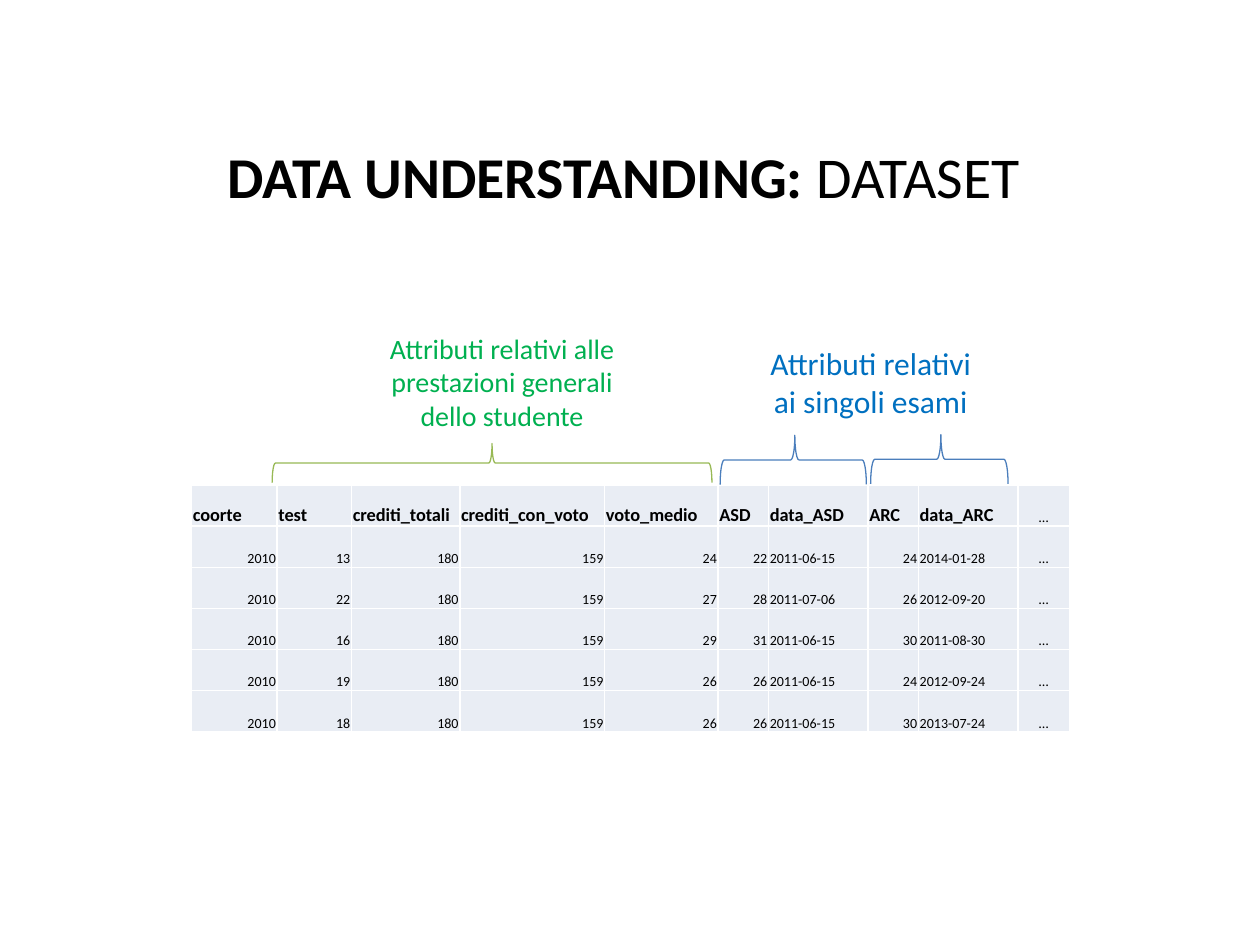
from lxml import etree
from pptx import Presentation
from pptx.dml.color import RGBColor
from pptx.enum.shapes import MSO_SHAPE
from pptx.enum.text import MSO_ANCHOR, PP_ALIGN
from pptx.oxml.ns import qn
from pptx.util import Inches, Pt

LEFT, CENTER, RIGHT = PP_ALIGN.LEFT, PP_ALIGN.CENTER, PP_ALIGN.RIGHT
BOTTOM, MIDDLE = MSO_ANCHOR.BOTTOM, MSO_ANCHOR.MIDDLE
LEFT_BRACE = MSO_SHAPE.LEFT_BRACE
FONT = "Calibri"
BLACK, WHITE, CELL_FILL = "000000", "FFFFFF", "E9EDF4"
GREEN_LINE, BLUE_LINE = "98B955", "4B7EBC"

# Content
TITLE = [("DATA UNDERSTANDING: ", True), ("DATASET ", False)]
HEADER = ["coorte", "test", "crediti_totali", "crediti_con_voto", "voto_medio",
          "ASD", "data_ASD", "ARC", "data_ARC", "…"]
COHORT, TOTAL_CREDITS, GRADED_CREDITS = "2010", "180", "159"
# test, voto_medio, ASD, data_ASD, ARC, data_ARC
STUDENTS = [
    ("13", "24", "22", "2011-06-15", "24", "2014-01-28"),
    ("22", "27", "28", "2011-07-06", "26", "2012-09-20"),
    ("16", "29", "31", "2011-06-15", "30", "2011-08-30"),
    ("19", "26", "26", "2011-06-15", "24", "2012-09-24"),
    ("18", "26", "26", "2011-06-15", "30", "2013-07-24"),
]
COLUMN_WIDTHS = [0.68, 0.59, 0.86, 1.15, 0.9, 0.4, 0.79, 0.4, 0.79, 0.41]
TABLE_LEFT, TABLE_TOP, TABLE_HEIGHT = 1.52, 3.85, 1.96
# text, left, top, width, height, size, colour
CAPTIONS = [
    ("Attributi relativi alle prestazioni generali dello studente",
     2.97, 2.58, 2.03, 0.91, 16, "00B050"),
    ("Attributi relativi ai singoli esami",
     5.92, 2.68, 1.98, 0.71, 18, "0070C0"),
]
# left, top, width, height before the quarter turn, point position, colour
BRACES = [
    (3.75, 1.93, 0.31, 3.49, 0.5, GREEN_LINE),
    (6.1, 3.07, 0.39, 1.16, 0.489, BLUE_LINE),
    (7.26, 3.1, 0.39, 1.09, 0.489, BLUE_LINE),
]


def rgb(value):
    return RGBColor.from_string(value)


def format_run(run, size, color=BLACK, bold=False):
    run.font.name = FONT
    run.font.size = Pt(size)
    run.font.bold = bold
    run.font.color.rgb = rgb(color)


def add_cell_borders(cell, color):
    properties = cell._tc.get_or_add_tcPr()
    for position, side in enumerate(("a:lnL", "a:lnR", "a:lnT", "a:lnB")):
        border = etree.Element(qn(side), w=str(Pt(1)))
        fill = etree.SubElement(border, qn("a:solidFill"))
        etree.SubElement(fill, qn("a:srgbClr"), val=color)
        properties.insert(position, border)


def cell_alignment(row, column):
    if HEADER[column] == "…":
        return CENTER
    if row == 0 or HEADER[column].startswith("data_"):
        return LEFT
    return RIGHT


prs = Presentation()
prs.slide_width, prs.slide_height = Inches(10), Inches(7.5)
slide = prs.slides.add_slide(prs.slide_layouts[5])

# Title
title = slide.shapes.title
title.left, title.top = Inches(0.5), Inches(0.92)
title.width, title.height = Inches(9), Inches(0.94)
title.text_frame.vertical_anchor = MIDDLE
heading = title.text_frame.paragraphs[0]
heading.alignment = CENTER
for words, bold in TITLE:
    run = heading.add_run()
    run.text = words
    format_run(run, 33, bold=bold)

# Dataset table
rows = [HEADER] + [
    [COHORT, test, TOTAL_CREDITS, GRADED_CREDITS, *results, "…"]
    for test, *results in STUDENTS
]
dataset = slide.shapes.add_table(
    len(rows), len(HEADER), Inches(TABLE_LEFT), Inches(TABLE_TOP),
    Inches(sum(COLUMN_WIDTHS)), Inches(TABLE_HEIGHT)).table
dataset.first_row = dataset.horz_banding = False
for column, width in zip(dataset.columns, COLUMN_WIDTHS):
    column.width = Inches(width)
for r, values in enumerate(rows):
    for c, value in enumerate(values):
        cell = dataset.cell(r, c)
        cell.margin_left = cell.margin_right = cell.margin_top = Inches(0.01)
        cell.margin_bottom = 0
        cell.vertical_anchor = BOTTOM
        cell.fill.solid()
        cell.fill.fore_color.rgb = rgb(CELL_FILL)
        add_cell_borders(cell, WHITE)
        cell.text_frame.text = value
        paragraph = cell.text_frame.paragraphs[0]
        paragraph.alignment = cell_alignment(r, c)
        is_heading = r == 0 and value != "…"
        format_run(paragraph.runs[0], 10.5 if is_heading else 8, bold=is_heading)

# Captions above the column groups
for words, left, top, width, height, size, color in CAPTIONS:
    caption = slide.shapes.add_textbox(
        Inches(left), Inches(top), Inches(width), Inches(height)).text_frame
    caption.word_wrap = True
    caption.text = words
    caption.paragraphs[0].alignment = CENTER
    format_run(caption.paragraphs[0].runs[0], size, color)

# Braces over the column groups
for left, top, width, height, point, color in BRACES:
    brace = slide.shapes.add_shape(
        LEFT_BRACE, Inches(left), Inches(top), Inches(width), Inches(height))
    brace.rotation = 90
    brace.adjustments[1] = point
    brace.shadow.inherit = False
    brace.fill.background()
    brace.line.color.rgb = rgb(color)
    brace.line.width = Pt(0.75)

prs.save("out.pptx")
